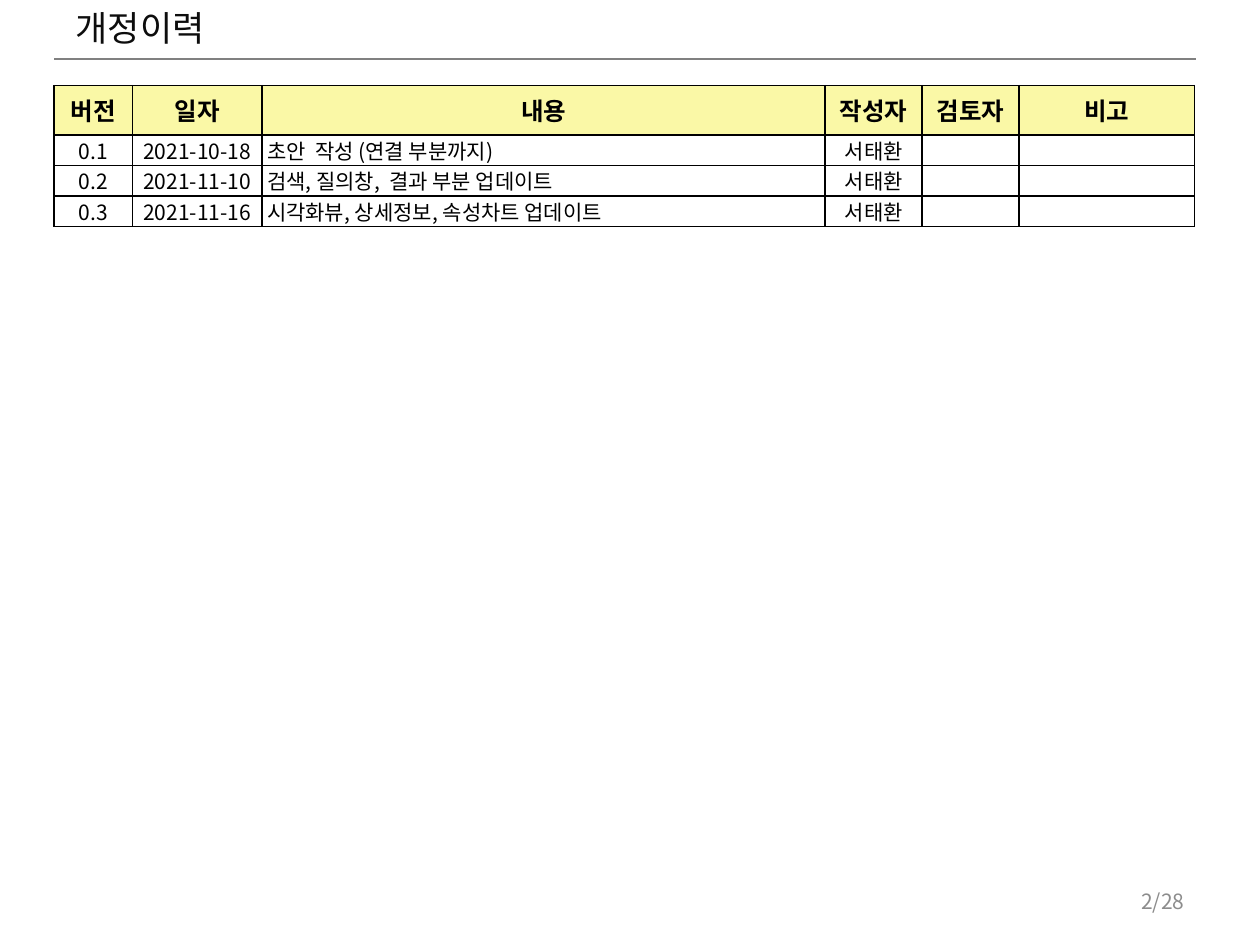
import pptx
import pptx.dml.color
import pptx.enum.shapes
import pptx.enum.text
import pptx.oxml.ns
import pptx.util
from lxml import etree

Inches, Pt = pptx.util.Inches, pptx.util.Pt
RGBColor = pptx.dml.color.RGBColor
PP_ALIGN = pptx.enum.text.PP_ALIGN
MSO_ANCHOR = pptx.enum.text.MSO_ANCHOR
qn = pptx.oxml.ns.qn

FONT = "Noto Sans CJK KR"
BLACK = RGBColor(0x00, 0x00, 0x00)
TITLE_INK = RGBColor(0x0D, 0x0D, 0x0D)
RULE_GRAY = RGBColor(0x80, 0x80, 0x80)
PAGE_GRAY = RGBColor(0x8C, 0x8C, 0x8C)
HEADER_YELLOW = RGBColor(0xFA, 0xF8, 0xA6)

COL_WIDTHS = [0.62, 1.03, 4.47, 0.77, 0.77, 1.39]
ROW_HEIGHTS = [0.39, 0.24, 0.24, 0.24]
CONTENT_COL = 2
REVISIONS = [
    ["버전", "일자", "내용", "작성자", "검토자", "비고"],
    ["0.1", "2021-10-18", "초안  작성 (연결 부분까지)", "서태환", "", ""],
    ["0.2", "2021-11-10", "검색, 질의창,  결과 부분 업데이트", "서태환", "", ""],
    ["0.3", "2021-11-16", "시각화뷰, 상세정보, 속성차트 업데이트", "서태환", "", ""],
]


def set_attrs(obj, values):
    for name, value in values.items():
        setattr(obj, name, value)


def write(tf, text, size, color, align, bold=False):
    p = tf.paragraphs[0]
    p.alignment = align
    if not text:
        # An empty cell keeps its row low through its end-of-paragraph size
        etree.SubElement(p._p, qn("a:endParaRPr"), sz=str(size * 100))
        return
    r = p.add_run()
    r.text = text
    set_attrs(r.font, {"size": Pt(size), "bold": bold, "name": FONT})
    r.font.color.rgb = color
    etree.SubElement(r.font._element, qn("a:ea"), typeface=FONT)


def add_borders(cell, color, width):
    tc_pr = cell._tc.get_or_add_tcPr()
    for i, side in enumerate(("a:lnL", "a:lnR", "a:lnT", "a:lnB")):
        ln = etree.Element(qn(side), w=str(Pt(width)))
        fill = etree.SubElement(ln, qn("a:solidFill"))
        etree.SubElement(fill, qn("a:srgbClr"), val=str(color))
        tc_pr.insert(i, ln)


def add_heading(s, left, top, width, height):
    # Rule under the title
    rule_y = Inches(0.47)
    rule = s.shapes.add_connector(pptx.enum.shapes.MSO_CONNECTOR.STRAIGHT,
                                  Inches(0.43), rule_y, Inches(9.49), rule_y)
    rule.line.color.rgb = RULE_GRAY
    rule.line.width = Pt(1.25)
    etree.SubElement(rule._element.spPr, qn("a:effectLst"))

    # Title
    sp = s.shapes.title
    set_attrs(sp, {"left": left, "top": top, "width": width, "height": height})
    set_attrs(sp.text_frame, {
        "margin_top": 0, "margin_bottom": 0, "word_wrap": True,
        "vertical_anchor": MSO_ANCHOR.TOP,
        "auto_size": pptx.enum.text.MSO_AUTO_SIZE.NONE,
    })
    write(sp.text_frame, "개정이력", 20, TITLE_INK, PP_ALIGN.LEFT)


def add_revision_table(s, left, top, width, height):
    table = s.shapes.add_table(len(ROW_HEIGHTS), len(COL_WIDTHS),
                               left, top, width, height).table
    for column, w in zip(table.columns, COL_WIDTHS):
        column.width = Inches(w)
    for row, h in zip(table.rows, ROW_HEIGHTS):
        row.height = Inches(h)

    for i, values in enumerate(REVISIONS):
        header = i == 0
        for j, text in enumerate(values):
            cell = table.cell(i, j)
            is_note = j == CONTENT_COL and not header
            set_attrs(cell, {
                "margin_left": Inches(0.04) if is_note else 0,
                "margin_right": 0, "margin_top": 0, "margin_bottom": 0,
                "vertical_anchor": MSO_ANCHOR.MIDDLE,
            })
            if header:
                cell.fill.solid()
                cell.fill.fore_color.rgb = HEADER_YELLOW
            else:
                cell.fill.background()
            add_borders(cell, BLACK, 1)
            write(cell.text_frame, text, 14 if header else 12, BLACK,
                  PP_ALIGN.LEFT if is_note else PP_ALIGN.CENTER, header)


def add_page_number(s, left, top, width, height):
    tf = s.shapes.add_textbox(left, top, width, height).text_frame
    set_attrs(tf, {"word_wrap": True, "vertical_anchor": MSO_ANCHOR.MIDDLE})
    write(tf, "2/28", 12, PAGE_GRAY, PP_ALIGN.RIGHT)


def main():
    prs = pptx.Presentation()
    set_attrs(prs, {"slide_width": Inches(10), "slide_height": Inches(7.5)})
    s = prs.slides.add_slide(prs.slide_layouts[5])
    add_heading(s, Inches(0.5), Inches(0.05), Inches(9), Inches(0.31))
    add_revision_table(s, Inches(0.43), Inches(0.68),
                       Inches(sum(COL_WIDTHS)), Inches(sum(ROW_HEIGHTS)))
    add_page_number(s, Inches(7.17), Inches(6.95), Inches(2.33), Inches(0.4))
    prs.save("out.pptx")


if __name__ == "__main__":
    main()
